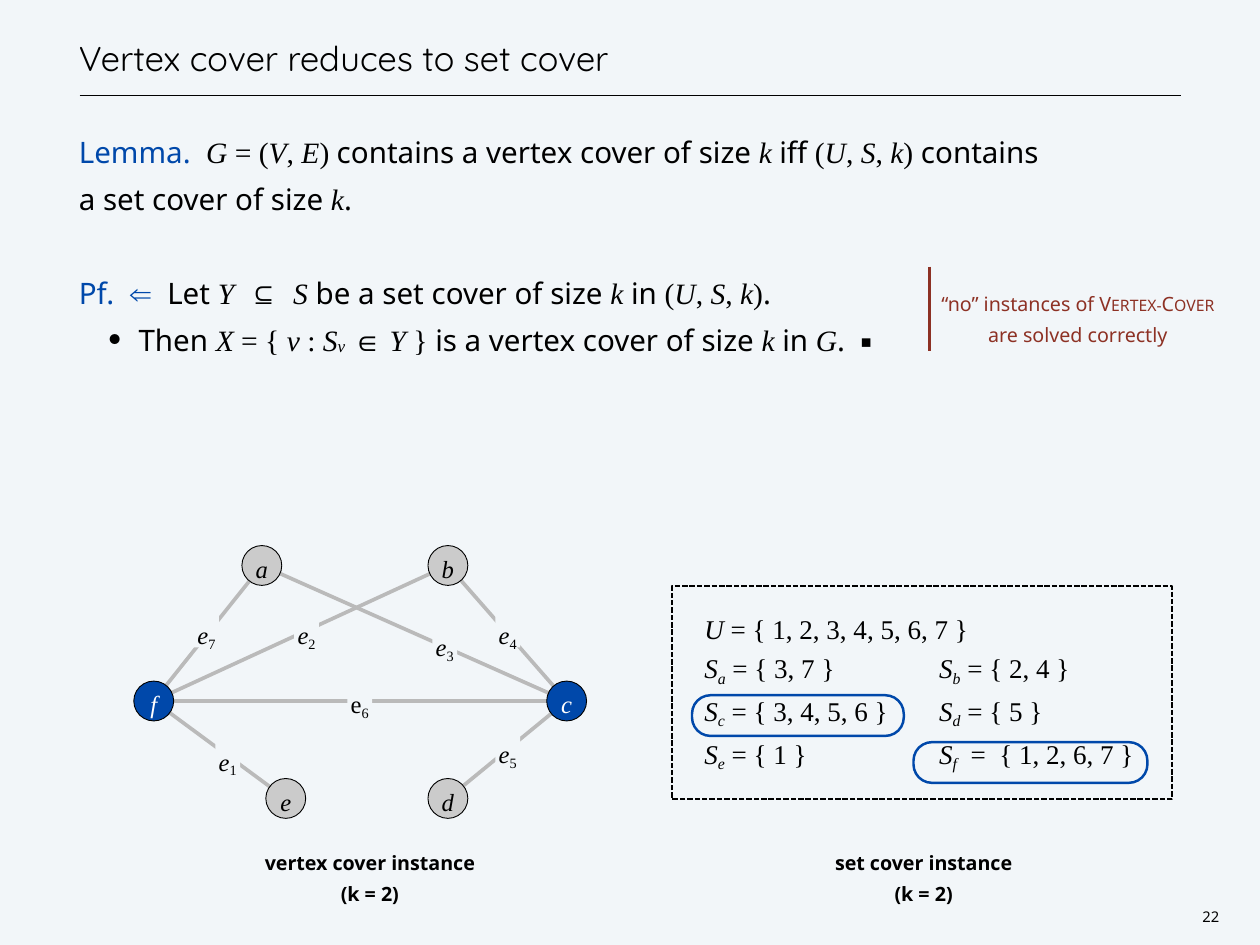
"""Build the slide showing how vertex cover reduces to set cover."""
from dataclasses import dataclass, replace
from typing import Optional, Sequence

import pptx
import pptx.dml.color
import pptx.enum.dml
import pptx.enum.shapes
import pptx.enum.text
import pptx.oxml.ns
import pptx.util
from lxml import etree

Inches = pptx.util.Inches
Pt = pptx.util.Pt
RGBColor = pptx.dml.color.RGBColor
Shapes = pptx.enum.shapes.MSO_SHAPE
Align = pptx.enum.text.PP_ALIGN
Anchor = pptx.enum.text.MSO_ANCHOR

BACKGROUND = RGBColor(0xF2, 0xF6, 0xF9)
BLACK = RGBColor(0, 0, 0)
WHITE = RGBColor(0xFF, 0xFF, 0xFF)
BLUE = RGBColor(0x00, 0x48, 0xAA)
RED = RGBColor(0x8D, 0x31, 0x24)
VERTEX_GRAY = RGBColor(0xCB, 0xCB, 0xCB)
EDGE_GRAY = RGBColor(0xBA, 0xBA, 0xBA)
VERTEX_SIZE = 0.45


@dataclass(frozen=True)
class Style:
    font: str = "Noto Sans"
    color: RGBColor = BLACK
    italic: bool = False
    bold: bool = False
    baseline: int = 0
    small_caps: bool = False


@dataclass(frozen=True)
class Vertex:
    left: float
    top: float
    in_cover: bool = False

    @property
    def center(self) -> tuple[float, float]:
        return self.left + VERTEX_SIZE / 2, self.top + VERTEX_SIZE / 2


@dataclass(frozen=True)
class Edge:
    number: int
    start: str
    end: str
    label_left: float
    label_top: float
    italic: bool = True


Run = tuple[str, Style]
Box = tuple[float, float, float, float]

SANS = Style()
ROMAN = Style("Times New Roman")
MATH = replace(ROMAN, italic=True)
SUBSCRIPT = replace(MATH, baseline=-20)
KEYWORD = replace(SANS, color=BLUE)
CAPTION = replace(SANS, bold=True)
NOTE = replace(SANS, color=RED)

INSTANCE: list[Run] = [("(", ROMAN), ("U", MATH), (", ", ROMAN), ("S", MATH),
                       (", ", ROMAN), ("k", MATH), (")", ROMAN)]
LEMMA: list[Run] = [
    ("Lemma.  ", KEYWORD), ("G", MATH), (" = (", ROMAN), ("V", MATH), (", ", ROMAN),
    ("E", MATH), (") ", ROMAN), ("contains a vertex cover of size ", SANS), ("k ", MATH),
    ("iff ", SANS), *INSTANCE, (" contains", SANS), ("\n", SANS),
    ("a set cover of size ", SANS), ("k", MATH), (".", SANS)]
PROOF: list[Run] = [
    ("Pf.  ", KEYWORD), ("⇐  ", replace(KEYWORD, font="Arial")), ("Let ", SANS),
    ("Y  ⊆  S", MATH), (" be a set cover of size ", SANS), ("k", MATH), (" in ", SANS),
    *INSTANCE, (".", SANS)]
PROOF_STEP: list[Run] = [
    ("Then ", SANS), ("X ", MATH), ("= {", ROMAN), (" v ", MATH), (":", ROMAN),
    (" S", MATH), ("v", replace(MATH, baseline=-6)), (" ∈ Y ", MATH), ("}", ROMAN),
    (" is a vertex cover of size ", SANS), ("k", MATH), (" in ", SANS), ("G", MATH),
    (".  ▪", SANS)]
SET_ROWS = [
    [("a", " = { 3, 7 }"), ("b", " = { 2, 4 }")],
    [("c", " = { 3, 4, 5, 6 }"), ("d", " = { 5 }")],
    [("e", " = { 1 }"), ("f", "  =  { 1, 2, 6, 7 }")],
]
VERTICES = {
    "a": Vertex(2.73, 6.16), "b": Vertex(4.83, 6.16), "e": Vertex(3, 8.79),
    "d": Vertex(4.83, 8.79), "c": Vertex(6.17, 7.69, True), "f": Vertex(1.51, 7.69, True),
}
EDGES = [
    Edge(1, "f", "e", 2.43, 8.37), Edge(2, "f", "b", 3.32, 6.94),
    Edge(3, "a", "c", 4.88, 7.08), Edge(4, "b", "c", 5.59, 6.94),
    Edge(5, "c", "d", 5.59, 8.29), Edge(6, "f", "c", 3.92, 7.72, False),
    Edge(7, "f", "a", 2.19, 6.94),
]


def write(paragraph, runs: Sequence[Run], size: float, spacing, align=Align.LEFT) -> None:
    paragraph.alignment = align
    paragraph.line_spacing = spacing
    paragraph.space_before = Pt(0)
    for text, style in runs:
        if text == "\n":
            paragraph.add_line_break()
            continue
        run = paragraph.add_run()
        run.text = text
        run.font.size = Pt(size)
        run.font.name = style.font
        run.font.bold = style.bold
        run.font.italic = style.italic
        run.font.color.rgb = style.color
        if style.baseline:
            run.font._element.set("baseline", str(style.baseline * 1000))
        if style.small_caps:
            run.font._element.set("cap", "small")


def add_property(paragraph, tag: str, **attributes: str):
    properties = paragraph._p.get_or_add_pPr()
    return etree.SubElement(properties, pptx.oxml.ns.qn(tag), attributes)


def place(shape, box: Box) -> None:
    shape.left, shape.top, shape.width, shape.height = map(Inches, box)


def set_frame(shape, anchor=Anchor.TOP, wrap: bool = True):
    frame = shape.text_frame
    frame.auto_size = pptx.enum.text.MSO_AUTO_SIZE.NONE
    frame.word_wrap = wrap
    frame.vertical_anchor = anchor
    frame.margin_left = frame.margin_top = frame.margin_right = frame.margin_bottom = 0
    return frame


def add_line(slide, start: tuple[float, float], end: tuple[float, float],
             color: RGBColor, width: float) -> None:
    line = slide.shapes.add_connector(pptx.enum.shapes.MSO_CONNECTOR.STRAIGHT,
                                      *map(Inches, start + end))
    line.line.color.rgb = color
    line.line.width = Pt(width)
    etree.SubElement(line._element.spPr, pptx.oxml.ns.qn("a:effectLst"))


def add_preset(slide, kind, box: Box, fill: Optional[RGBColor] = None,
               outline: Optional[RGBColor] = None, width: float = 0.75):
    shape = slide.shapes.add_shape(kind, *map(Inches, box))
    shape.shadow.inherit = False
    if fill is None:
        shape.fill.background()
    else:
        shape.fill.solid()
        shape.fill.fore_color.rgb = fill
    if outline is None:
        shape.line.fill.background()
    else:
        shape.line.color.rgb = outline
        shape.line.width = Pt(width)
    return shape


def add_text(slide, box: Box, lines: Sequence[Sequence[Run]], size: float, spacing) -> None:
    frame = set_frame(slide.shapes.add_textbox(*map(Inches, box)))
    for index, runs in enumerate(lines):
        paragraph = frame.add_paragraph() if index else frame.paragraphs[0]
        write(paragraph, runs, size, spacing, Align.CENTER)


def fill_placeholders(slide) -> None:
    title, body = slide.placeholders[0], slide.placeholders[1]
    place(title, (0.89, 0, 12.44, 0.89))
    heading: Run = ("Vertex cover reduces to set cover", Style("Quicksand"))
    write(set_frame(title, Anchor.BOTTOM).paragraphs[0], [heading], 28, Pt(38))
    place(body, (0.89, 1.39, 12.44, 8.94))
    frame = set_frame(body)
    lemma, proof, step = frame.paragraphs[0], frame.add_paragraph(), frame.add_paragraph()
    for paragraph, runs in ((lemma, LEMMA), (proof, PROOF), (step, PROOF_STEP)):
        bulleted = paragraph is step
        properties = paragraph._p.get_or_add_pPr()
        properties.set("marL", str(Inches(0.64 if bulleted else 0)))
        properties.set("indent", str(Inches(-0.5 if bulleted else 0)))
        if bulleted:
            paragraph.level = 1
            add_property(paragraph, "a:buSzPct", val="160000")
            add_property(paragraph, "a:buFont", typeface="Noto Sans")
            add_property(paragraph, "a:buChar", char="・")
        else:
            add_property(paragraph, "a:buNone")
        write(paragraph, runs, 24, Pt(38))
    proof.space_before = Pt(38)


def add_set_cover(slide) -> None:
    panel = add_preset(slide, Shapes.RECTANGLE, (7.58, 6.62, 5.65, 2.4), None, BLACK, 1.5)
    panel.line.dash_style = pptx.enum.dml.MSO_LINE.SQUARE_DOT
    frame = set_frame(panel)
    frame.margin_left, frame.margin_top = Inches(0.37), Inches(0.22)
    universe: list[Run] = [("U", MATH), (" = { 1, 2, 3, 4, 5, 6, 7 }", ROMAN)]
    write(frame.paragraphs[0], universe, 22, 1.2)
    for (left_name, left_set), (right_name, right_set) in SET_ROWS:
        paragraph = frame.add_paragraph()
        tabs = add_property(paragraph, "a:tabLst")
        etree.SubElement(tabs, pptx.oxml.ns.qn("a:tab"), pos=str(Inches(2.65)), algn="l")
        write(paragraph, [("S", MATH), (left_name, SUBSCRIPT), (left_set + "\t", ROMAN),
                          ("S", MATH), (right_name, SUBSCRIPT), (right_set, ROMAN)], 22, 1.2)
    for box in ((7.81, 7.85, 2.39, 0.46), (10.31, 8.38, 2.64, 0.46)):
        chosen = add_preset(slide, Shapes.ROUNDED_RECTANGLE, box, None, BLUE, 2)
        chosen.adjustments[0] = 0.455


def add_graph(slide) -> None:
    for edge in EDGES:
        add_line(slide, VERTICES[edge.start].center, VERTICES[edge.end].center, EDGE_GRAY, 3)
    for edge in EDGES:
        label = add_preset(slide, Shapes.RECTANGLE,
                           (edge.label_left, edge.label_top, 0.28, 0.37), BACKGROUND)
        runs = [("e", replace(ROMAN, italic=edge.italic)),
                (str(edge.number), replace(ROMAN, baseline=-19))]
        write(set_frame(label, Anchor.MIDDLE, False).paragraphs[0], runs, 20, 1.3, Align.CENTER)
    for name, vertex in VERTICES.items():
        circle = add_preset(slide, Shapes.OVAL,
                            (vertex.left, vertex.top, VERTEX_SIZE, VERTEX_SIZE),
                            BLUE if vertex.in_cover else VERTEX_GRAY, BLACK)
        style = replace(MATH, color=WHITE if vertex.in_cover else BLACK)
        write(set_frame(circle, Anchor.MIDDLE, False).paragraphs[0],
              [(name, style)], 20, 1.2, Align.CENTER)


def main() -> None:
    presentation = pptx.Presentation()
    presentation.slide_width, presentation.slide_height = Inches(14.22), Inches(10.67)
    slide = presentation.slides.add_slide(presentation.slide_layouts[1])
    slide.background.fill.solid()
    slide.background.fill.fore_color.rgb = BACKGROUND
    fill_placeholders(slide)
    add_line(slide, (0.9, 1.08), (13.33, 1.08), BLACK, 1)
    add_set_cover(slide)
    add_graph(slide)
    for left, kind in ((2.86, "vertex"), (9.11, "set")):
        add_text(slide, (left, 9.53, 2.63, 0.58),
                 [[(f"{kind} cover instance", CAPTION)], [("(k = 2)", CAPTION)]], 16, 1.3)
    add_line(slide, (10.49, 3.01), (10.49, 3.96), RED, 2)
    add_text(slide, (10.5, 3.22, 3.33, 0.8),
             [[("“no” instances of ", NOTE), ("Vertex-Cover", replace(NOTE, small_caps=True))],
              [("are solved correctly", NOTE)]], 16, 1.3)
    add_text(slide, (13.51, 10.26, 0.31, 0.2), [[("22", SANS)]], 12, Pt(14))
    presentation.save("out.pptx")


if __name__ == "__main__":
    main()
